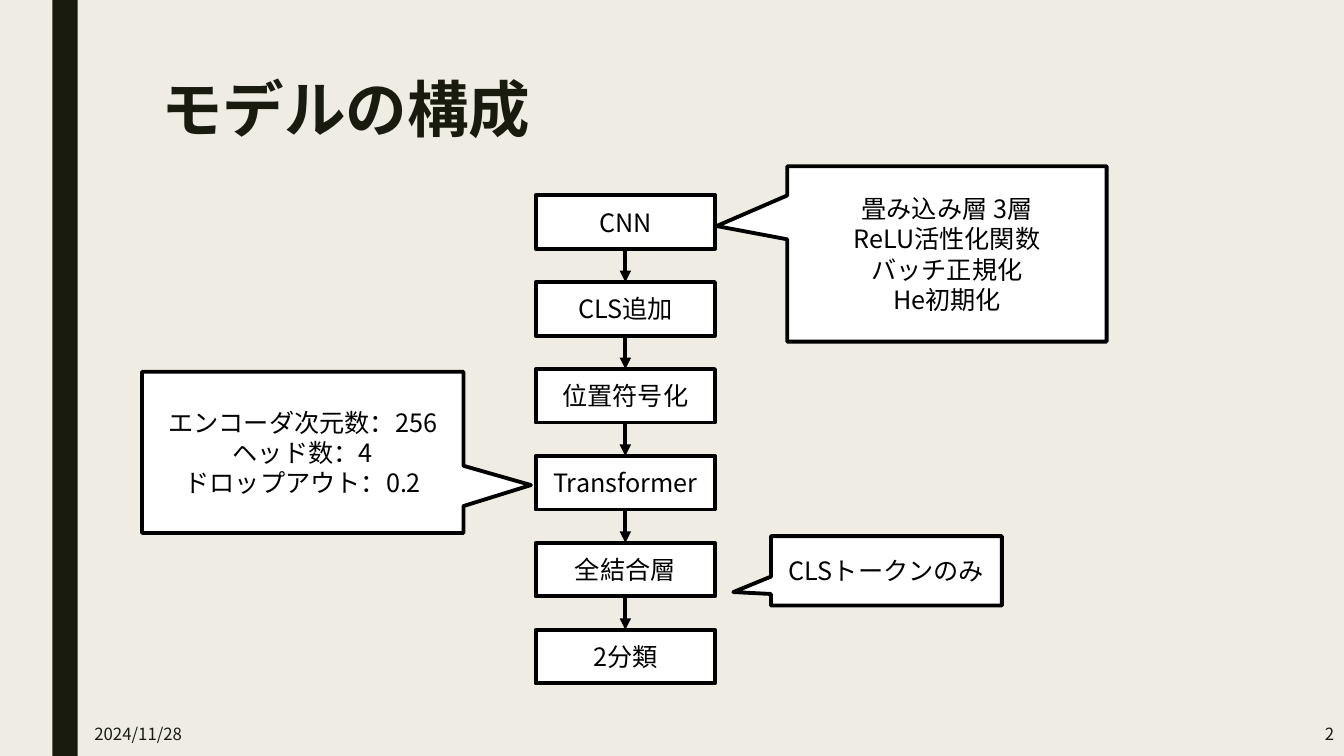
from itertools import pairwise
from lxml.etree import SubElement
from pptx import Presentation
from pptx.dml.color import RGBColor
from pptx.enum.shapes import MSO_CONNECTOR, MSO_SHAPE
from pptx.enum.text import MSO_ANCHOR, PP_ALIGN
from pptx.oxml.ns import qn
from pptx.util import Cm, Pt

FONT = "Noto Sans CJK JP"
CREAM = RGBColor(0xEF, 0xED, 0xE3)
DARK = RGBColor(0x19, 0x1B, 0x0E)
BLACK = RGBColor(0, 0, 0)
WHITE = RGBColor(255, 255, 255)
LINE_WIDTH = Pt(2.75)

STEPS = ["CNN", "CLS追加", "位置符号化", "Transformer", "全結合層", "2分類"]
CALLOUTS = [
    ((19.84, 4.19, 8.05, 4.42), (-0.721, -0.159),
     ["畳み込み層 3層", "ReLU活性化関数", "バッチ正規化", "He初期化"]),
    ((19.43, 13.51, 5.82, 1.75), (-0.663, 0.306), ["CLSトークンのみ"]),
    ((3.58, 9.37, 8.1, 4.06), (0.71, 0.203),
     ["エンコーダ次元数：256", "ヘッド数：4", "ドロップアウト：0.2"]),
]


def write(box, lines, size, color, align=PP_ALIGN.LEFT, anchor=MSO_ANCHOR.MIDDLE, bold=False):
    frame = box.text_frame
    frame.word_wrap = True
    frame.vertical_anchor = anchor
    frame.text = "\n".join(lines)
    for para in frame.paragraphs:
        para.alignment = align
        para.font.size = Pt(size)
        para.font.bold = bold
        para.font.color.rgb = color
        para.font.name = FONT
        properties = para._p.pPr.find(qn("a:defRPr"))
        SubElement(properties, qn("a:ea"), typeface=FONT)


def add_label(page, area, text, size, **style):
    box = page.shapes.add_textbox(*map(Cm, area))
    write(box, [text], size, DARK, **style)
    return box


def add_panel(page, kind, area, lines):
    panel = page.shapes.add_shape(kind, *map(Cm, area))
    panel.shadow.inherit = False
    panel.fill.solid()
    panel.fill.fore_color.rgb = WHITE
    panel.line.color.rgb = BLACK
    panel.line.width = LINE_WIDTH
    write(panel, lines, 18, BLACK, PP_ALIGN.CENTER)
    return panel


def add_arrow(page, upper, lower):
    arrow = page.shapes.add_connector(MSO_CONNECTOR.STRAIGHT, 0, 0, 0, 0)
    arrow.begin_connect(upper, 2)
    arrow.end_connect(lower, 0)
    arrow.line.color.rgb = BLACK
    arrow.line.width = LINE_WIDTH
    SubElement(arrow.line._get_or_add_ln(), qn("a:tailEnd"), type="triangle")
    SubElement(arrow._element.spPr, qn("a:effectLst"))


def add_flow(page, left, top, width, height, pitch):
    boxes = [
        add_panel(page, MSO_SHAPE.RECTANGLE, (left, top + row * pitch, width, height), [step])
        for row, step in enumerate(STEPS)
    ]
    for upper, lower in pairwise(boxes):
        add_arrow(page, upper, lower)


def add_callout(page, area, tip, lines):
    callout = add_panel(page, MSO_SHAPE.RECTANGULAR_CALLOUT, area, lines)
    callout.adjustments[0], callout.adjustments[1] = tip


def add_frame(page, width, height):
    page.background.fill.solid()
    page.background.fill.fore_color.rgb = CREAM
    stripe = page.shapes.add_shape(MSO_SHAPE.RECTANGLE, Cm(1.32), 0, Cm(0.64), Cm(height))
    stripe.shadow.inherit = False
    stripe.fill.solid()
    stripe.fill.fore_color.rgb = DARK
    stripe.line.fill.background()
    title = add_label(page, (3.81, 1.9, 26.67, 2.29), "モデルの構成", 44,
                      anchor=MSO_ANCHOR.TOP, bold=True)
    title.text_frame.paragraphs[0].line_spacing = 0.89
    footer_height = 1.12
    footer_top = height - footer_height
    add_label(page, (2.13, footer_top, 3.35, footer_height), "2024/11/28", 12)
    add_label(page, (width - 4.44, footer_top, 4.44, footer_height), "2", 12,
              align=PP_ALIGN.RIGHT)


def main():
    width, height = 33.87, 19.05
    deck = Presentation()
    deck.slide_width, deck.slide_height = Cm(width), Cm(height)
    page = deck.slides.add_slide(deck.slide_layouts[6])
    add_frame(page, width, height)
    add_flow(page, left=13.5, top=4.92, width=4.52, height=1.35, pitch=2.19)
    for area, tip, lines in CALLOUTS:
        add_callout(page, area, tip, lines)
    deck.save("out.pptx")


if __name__ == "__main__":
    main()
